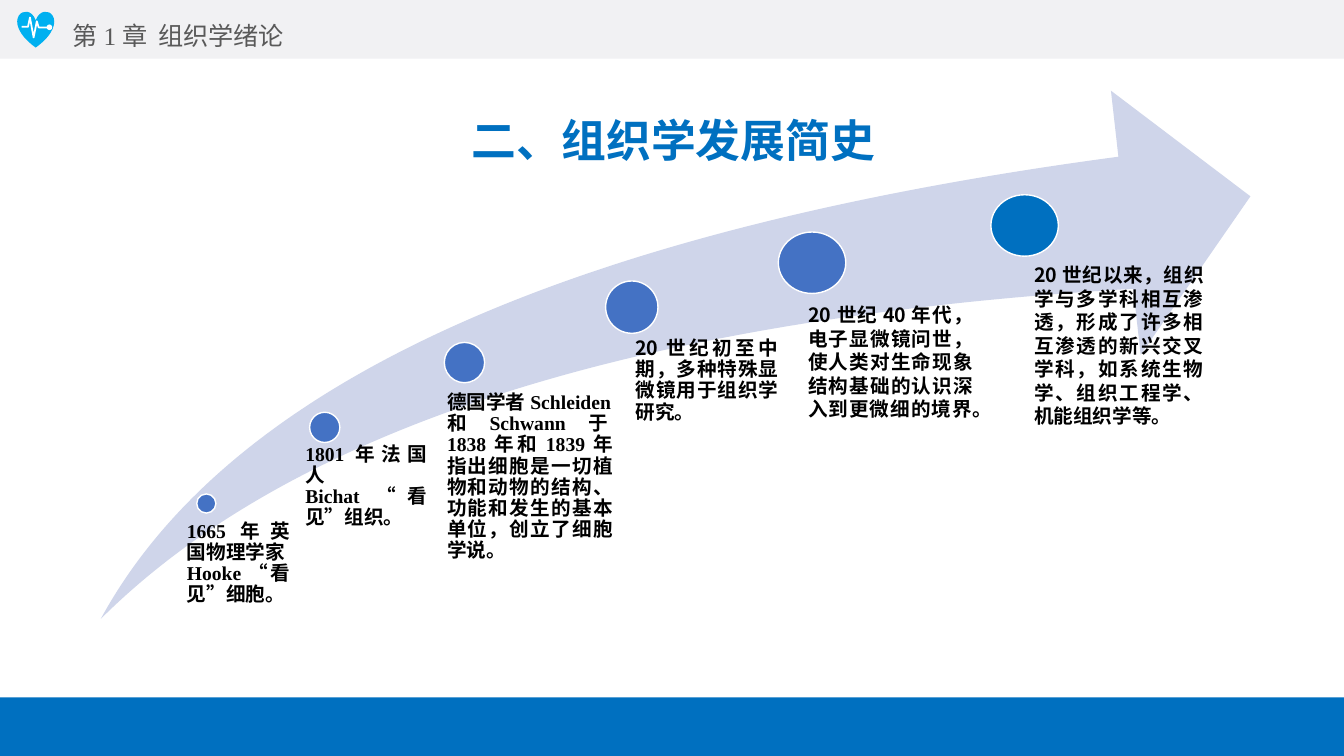
"""Build the slide on the history of histology as a timeline along a swoosh arrow."""
from dataclasses import dataclass
from typing import Any, NamedTuple

from lxml import etree
from pptx import Presentation
from pptx.dml.color import RGBColor
from pptx.enum.shapes import MSO_SHAPE
from pptx.enum.text import MSO_ANCHOR, MSO_AUTO_SIZE, PP_ALIGN
from pptx.oxml.ns import qn
from pptx.util import Pt

RECTANGLE, OVAL = MSO_SHAPE.RECTANGLE, MSO_SHAPE.OVAL
HEART, SWOOSH = MSO_SHAPE.HEART, MSO_SHAPE.SWOOSH_ARROW
LEFT, CENTER, JUSTIFY = PP_ALIGN.LEFT, PP_ALIGN.CENTER, PP_ALIGN.JUSTIFY
TOP, NO_AUTOFIT = MSO_ANCHOR.TOP, MSO_AUTO_SIZE.NONE
TITLE_ONLY = 5


@dataclass(frozen=True)
class Theme:
    """Colours, fonts and type sizes of the slide."""
    accent: str = "0070C0"
    dot: str = "4472C4"
    swoosh: str = "CFD5EA"
    band: str = "F1F1F3"
    heart: str = "00B0F0"
    white: str = "FFFFFF"
    chapter: str = "595959"
    body: str = "000000"
    serif: str = "Times New Roman"
    sans: str = "Noto Sans CJK SC"
    title_size: float = 32
    chapter_size: float = 18
    body_size: float = 14


THEME = Theme()


class Area(NamedTuple):
    """A rectangle in points."""
    left: float
    top: float
    width: float
    height: float


class Insets(NamedTuple):
    """Text margins in points."""
    left: float = 7.2
    top: float = 3.6
    right: float = 7.2
    bottom: float = 3.6


class TextStyle(NamedTuple):
    """Format of a one-paragraph text."""
    size: float
    color: str
    font: str
    bold: bool
    align: Any
    spacing: float


@dataclass(frozen=True)
class Milestone:
    """A dot on the arrow and the event it marks."""
    dot: Area
    label: Area
    insets: Insets
    event: str
    font: str = THEME.sans
    spacing: float = 1.0
    color: str = THEME.dot
    outlined: bool = True


MILESTONES = (
    Milestone(Area(140.5, 352.8, 13.7, 13.7), Area(126.3, 372.2, 80.6, 90),
              Insets(7.2, 0, 0, 0), "1665年英国物理学家Hooke“看见”细胞。",
              THEME.serif, 0.9),
    Milestone(Area(221.2, 294.5, 21.6, 21.6), Area(206.6, 317.3, 98.6, 107.3),
              Insets(11.5, 0, 0, 0), "1801年法国人Bichat“看见”组织。",
              THEME.serif, 0.9),
    Milestone(Area(317.4, 244.6, 28.8, 28.8), Area(304.2, 280.4, 133.7, 122),
              Insets(15.1, 0, 0, 0),
              "德国学者Schleiden和Schwann于1838年和1839年指出细胞是一切植物和动物的结构、"
              "功能和发生的基本单位，创立了细胞学说。", THEME.serif, 0.9),
    Milestone(Area(432.6, 200.7, 37.4, 37.4), Area(433.7, 241.9, 122.4, 124.6),
              Insets(20.2, 0, 0, 0),
              "20世纪初至中期，多种特殊显微镜用于组织学研究。", spacing=0.9),
    Milestone(Area(556, 165.7, 48.2, 43.9), Area(552.2, 216.5, 142.6, 200.2),
              Insets(25.2, 0, 0, 0),
              "20世纪40年代，电子显微镜问世，使人类对生命现象结构基础的认识深入到更微细的境界。"),
    Milestone(Area(707.8, 139.1, 48.2, 43.9), Area(731.5, 184.3, 135.4, 126),
              Insets(),
              "20世纪以来，组织学与多学科相互渗透，形成了许多相互渗透的新兴交叉学科，"
              "如系统生物学、组织工程学、机能组织学等。", color=THEME.accent,
              outlined=False),
)

PULSE = ((15.5, 19.2), (20, 19.2), (21.4, 12.5), (24, 26.8),
         (26.3, 15.2), (27.6, 19.6), (34, 19.6))


def assign(target: Any, values: dict[str, Any]) -> None:
    """Set each named attribute on the target."""
    for name, value in values.items():
        setattr(target, name, value)


def in_points(area: Area) -> list[Pt]:
    """Convert an area to lengths."""
    return [Pt(length) for length in area]


def draw_shape(slide: Any, preset: Any, area: Area, fill: str,
               outline: str | None = None) -> Any:
    """Draw a filled preset shape, outlined only on request."""
    shape = slide.shapes.add_shape(preset, *in_points(area))
    shape.shadow.inherit = False
    shape.fill.solid()
    shape.fill.fore_color.rgb = RGBColor.from_string(fill)
    if outline is None:
        shape.line.fill.background()
    else:
        shape.line.color.rgb = RGBColor.from_string(outline)
        shape.line.width = Pt(1)
    return shape


def draw_path(slide: Any, points: tuple, close: bool) -> Any:
    """Draw an unfilled path through points."""
    start, *rest = [(Pt(x), Pt(y)) for x, y in points]
    builder = slide.shapes.build_freeform(*start)
    builder.add_line_segments(rest, close=close)
    path_shape = builder.convert_to_shape()
    path_shape.shadow.inherit = False
    path_shape.fill.background()
    return path_shape


def write_text(holder: Any, text: str, style: TextStyle,
               insets: Insets = Insets()) -> Any:
    """Write one formatted paragraph into a text holder."""
    frame = holder.text_frame
    assign(frame, {"word_wrap": True, "auto_size": NO_AUTOFIT,
                   "vertical_anchor": TOP,
                   **{f"margin_{side}": Pt(value)
                      for side, value in insets._asdict().items()}})
    paragraph = frame.paragraphs[0]
    assign(paragraph, {"alignment": style.align, "line_spacing": style.spacing})
    run = paragraph.add_run()
    run.text = text
    assign(run.font, {"size": Pt(style.size), "bold": style.bold,
                      "name": style.font})
    run.font.color.rgb = RGBColor.from_string(style.color)
    east_asian = etree.SubElement(run._r.get_or_add_rPr(), qn("a:ea"))
    east_asian.set("typeface", THEME.sans)
    return paragraph


def draw_heart(slide: Any) -> None:
    """Draw the heart with its pulse line."""
    draw_shape(slide, HEART, Area(12.4, 8, 26.3, 26), THEME.heart)
    pulse = draw_path(slide, PULSE, close=False)
    pulse.line.color.rgb = RGBColor.from_string(THEME.white)
    pulse.line.width = Pt(1.25)
    draw_shape(slide, OVAL, Area(33.3, 17.5, 4, 4), THEME.white)


def draw_milestone(slide: Any, milestone: Milestone) -> None:
    """Draw a milestone's dot and its event text."""
    draw_shape(slide, OVAL, milestone.dot, milestone.color, THEME.white)
    left, top, width, height = milestone.label
    if milestone.outlined:
        right, bottom = left + width, top + height
        corners = ((left, top), (right, top), (right, bottom), (left, bottom))
        label = draw_path(slide, corners, close=True)
        label.line.fill.background()
    else:
        label = slide.shapes.add_textbox(*in_points(milestone.label))
    style = TextStyle(THEME.body_size, THEME.body, milestone.font, True,
                      JUSTIFY, milestone.spacing)
    write_text(label, milestone.event, style, milestone.insets)


def main() -> None:
    """Build and save the slide."""
    deck = Presentation()
    assign(deck, {"slide_width": Pt(960), "slide_height": Pt(540)})
    slide = deck.slides.add_slide(deck.slide_layouts[TITLE_ONLY])
    for top, color in ((0, THEME.band), (498.1, THEME.accent)):
        draw_shape(slide, RECTANGLE, Area(0, top, 960, 41.9), color)
    draw_heart(slide)
    chapter = slide.shapes.add_textbox(*in_points(Area(44.6, 0, 190, 36)))
    heading = write_text(chapter, "第1章\t组织学绪论",
                         TextStyle(THEME.chapter_size, THEME.chapter,
                                   THEME.serif, False, LEFT, 1.5))
    tabs = etree.SubElement(heading._p.get_or_add_pPr(), qn("a:tabLst"))
    etree.SubElement(tabs, qn("a:tab"), pos=str(Pt(61.2)), algn="l")

    swoosh = draw_shape(slide, SWOOSH, Area(72, 64.8, 821.2, 377.3), THEME.swoosh)
    for index in range(2):
        swoosh.adjustments[index] = 0.25
    for milestone in MILESTONES:
        draw_milestone(slide, milestone)

    title = slide.shapes.title
    assign(title, dict(zip(Area._fields, in_points(Area(72, 57.8, 818.6, 58.3)))))
    write_text(title, "二、组织学发展简史",
               TextStyle(THEME.title_size, THEME.accent, THEME.serif, True,
                         CENTER, 1.5))
    deck.save("out.pptx")


if __name__ == "__main__":
    main()
